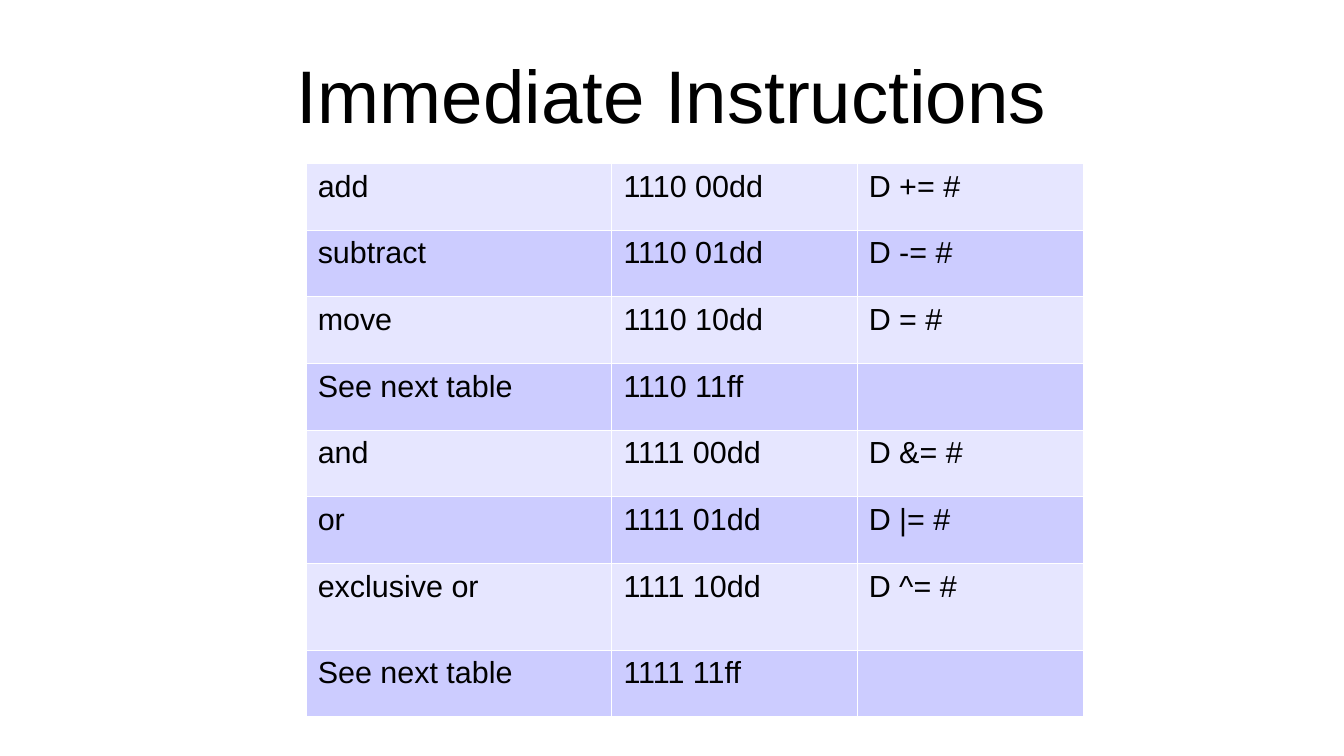
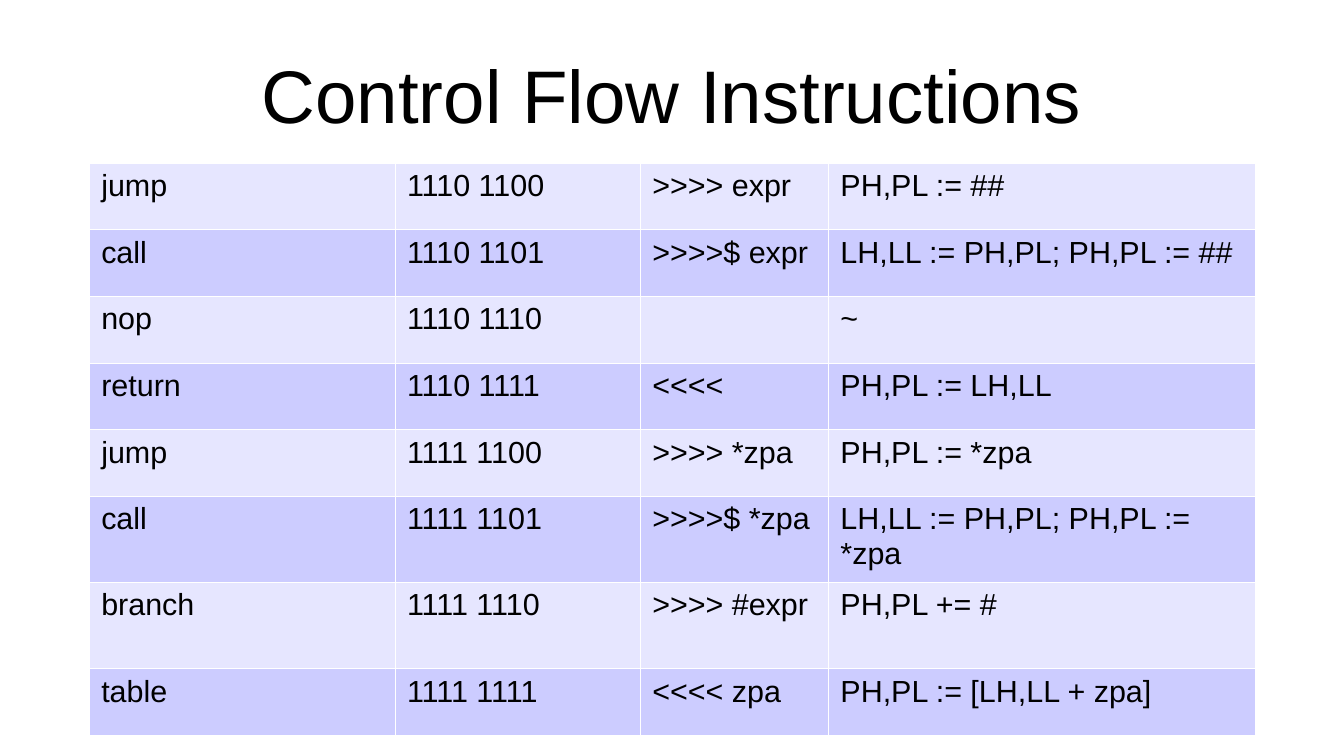
from dataclasses import dataclass

from lxml import etree
from pptx import Presentation
from pptx.dml.color import RGBColor
from pptx.enum.text import MSO_ANCHOR, PP_ALIGN
from pptx.oxml.ns import qn
from pptx.util import Cm, Pt

LEFT = PP_ALIGN.LEFT
CENTER = PP_ALIGN.CENTER
TOP = MSO_ANCHOR.TOP
MIDDLE = MSO_ANCHOR.MIDDLE


@dataclass(frozen=True)
class Theme:
    font: str = "Arial"
    text: str = "000000"
    border: str = "FFFFFF"
    bands: tuple = ("E6E6FF", "CCCCFF")
    title_size: int = 44
    cell_size: int = 18
    border_width: float = 0.06


THEME = Theme()

# Shared layout, in centimetres
NAME_WIDTH, CODE_WIDTH = 6.37, 5.11
ROW_HEIGHTS = [1.39] * 6 + [1.8, 1.39]

# Content of each slide: title, table position, column widths, rows
SLIDES = [
    ("Immediate Instructions", (6.37, 3.4), [NAME_WIDTH, CODE_WIDTH, 4.72], [
        ("add", "1110 00dd", "D += #"),
        ("subtract", "1110 01dd", "D -= #"),
        ("move", "1110 10dd", "D = #"),
        ("See next table", "1110 11ff", ""),
        ("and", "1111 00dd", "D &= #"),
        ("or", "1111 01dd", "D |= #"),
        ("exclusive or", "1111 10dd", "D ^= #"),
        ("See next table", "1111 11ff", ""),
    ]),
    ("Control Flow Instructions", (1.86, 3.39), [NAME_WIDTH, CODE_WIDTH, 3.92, 8.89], [
        ("jump", "1110 1100", ">>>> expr", "PH,PL := ##"),
        ("call", "1110 1101", ">>>>$ expr", "LH,LL := PH,PL; PH,PL := ##"),
        ("nop", "1110 1110", "", "~"),
        ("return", "1110 1111", "<<<<", "PH,PL := LH,LL"),
        ("jump", "1111 1100", ">>>> *zpa", "PH,PL := *zpa"),
        ("call", "1111 1101", ">>>>$ *zpa", "LH,LL := PH,PL; PH,PL := *zpa"),
        ("branch", "1111 1110", ">>>> #expr", "PH,PL += #"),
        ("table", "1111 1111", "<<<< zpa", "PH,PL := [LH,LL + zpa]"),
    ]),
]


def write_text(frame, text, *, size, align=LEFT, anchor=TOP, margins=(0, 0)):
    """Fill a text frame; margins are horizontal and vertical, in centimetres."""
    frame.word_wrap = True
    frame.vertical_anchor = anchor
    frame.margin_left = frame.margin_right = Cm(margins[0])
    frame.margin_top = frame.margin_bottom = Cm(margins[1])
    paragraph = frame.paragraphs[0]
    paragraph.alignment = align
    paragraph.font.size = Pt(size)
    if text:
        run = paragraph.add_run()
        run.text = text
        run.font.size = Pt(size)
        run.font.name = THEME.font
        run.font.color.rgb = RGBColor.from_string(THEME.text)


def style_cell(cell, fill):
    """Give a table cell thin borders on all sides and a solid fill."""
    properties = cell._tc.get_or_add_tcPr()
    for side in ("a:lnL", "a:lnR", "a:lnT", "a:lnB"):
        line = etree.SubElement(properties, qn(side), w=str(Pt(THEME.border_width)))
        solid = etree.SubElement(line, qn("a:solidFill"))
        etree.SubElement(solid, qn("a:srgbClr"), val=THEME.border)
    cell.fill.solid()
    cell.fill.fore_color.rgb = RGBColor.from_string(fill)


presentation = Presentation()
presentation.slide_width = Cm(28)
presentation.slide_height = Cm(15.75)
blank_layout = presentation.slide_layouts[6]

for title, (left, top), widths, rows in SLIDES:
    slide = presentation.slides.add_slide(blank_layout)

    # Title
    title_box = slide.shapes.add_textbox(Cm(1.4), Cm(0.63), Cm(25.2), Cm(2.63))
    write_text(title_box.text_frame, title, size=THEME.title_size,
               align=CENTER, anchor=MIDDLE)

    # Instruction table
    table = slide.shapes.add_table(
        len(rows), len(widths), Cm(left), Cm(top),
        Cm(sum(widths)), Cm(sum(ROW_HEIGHTS))).table
    table.first_row = False
    table.horz_banding = False
    for column, width in zip(table.columns, widths):
        column.width = Cm(width)
    for row, height in zip(table.rows, ROW_HEIGHTS):
        row.height = Cm(height)
    for row_index, row_texts in enumerate(rows):
        for column_index, text in enumerate(row_texts):
            cell = table.cell(row_index, column_index)
            style_cell(cell, THEME.bands[row_index % 2])
            cell.margin_left = cell.margin_right = Cm(0.25)
            cell.margin_top = cell.margin_bottom = Cm(0.13)
            cell.vertical_anchor = TOP
            write_text(cell.text_frame, text, size=THEME.cell_size,
                       margins=(0.25, 0.13))

presentation.save("out.pptx")
